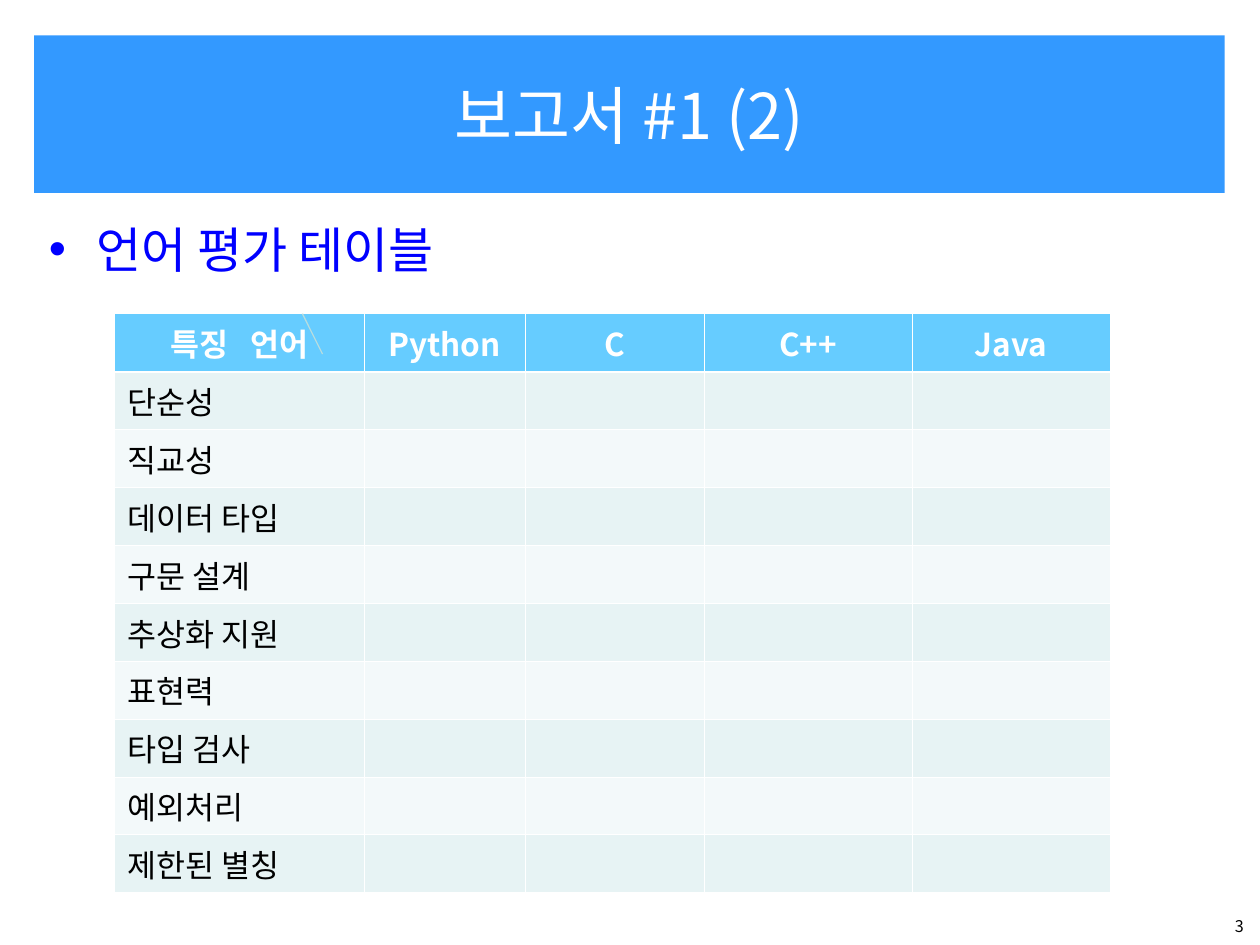
"""Build a slide with a blue title bar, one bullet and a language evaluation table."""
from dataclasses import dataclass

from lxml import etree
from pptx import Presentation
from pptx import util as u
from pptx.dml.color import RGBColor
from pptx.enum import shapes, text
from pptx.oxml.ns import qn

FONT = "Noto Sans CJK KR"
WIDTH, HEIGHT = u.Inches(10), u.Inches(7.5)
WHITE, BLACK, BLUE = "FFFFFF", "000000", "0000FF"
TITLE_FILL, HEADER_FILL, BANDS = "3399FF", "66CCFF", ("E7F3F4", "F3F9FA")
THIN, THICK = 0.45, 1.47
COLUMN_SHARES = (19.8, 12.8, 14.2, 16.5, 15.7)
ROW_SHARE = 6.13
HEADERS = ("특징   언어", "Python", "C", "C++", "Java")
FEATURES = ("단순성", "직교성", "데이터 타입", "구문 설계", "추상화 지원",
            "표현력", "타입 검사", "예외처리", "제한된 별칭")


@dataclass(frozen=True)
class Box:
    """Left, top, width and height in percent of the slide."""
    left: float
    top: float
    width: float
    height: float

    def emu(self) -> tuple:
        return across(self.left), down(self.top), across(self.width), down(self.height)


@dataclass(frozen=True)
class Style:
    """Look of one line of text."""
    size: float
    color: str
    align: text.PP_ALIGN = text.PP_ALIGN.LEFT
    bold: bool = False


CENTER = text.PP_ALIGN.CENTER
TITLE = Style(36, WHITE, CENTER)
BULLET = Style(28, BLUE)
NUMBER = Style(9.2, BLACK, text.PP_ALIGN.RIGHT)
HEADER = Style(18, WHITE, CENTER, True)
FEATURE = Style(18, BLACK)


def across(share: float) -> int:
    return int(WIDTH * share / 100)


def down(share: float) -> int:
    return int(HEIGHT * share / 100)


def rgb(color: str) -> RGBColor:
    return RGBColor.from_string(color)


def write(tf, words: str, style: Style):
    tf.text = words
    p = tf.paragraphs[0]
    p.alignment = style.align
    for r in p.runs:
        r.font.name, r.font.size, r.font.bold = FONT, u.Pt(style.size), style.bold
        r.font.color.rgb = rgb(style.color)
        etree.SubElement(r.font._element, qn("a:ea"), typeface=FONT)
    return p


def add_text(s, box: Box, words: str, style: Style):
    tf = s.shapes.add_textbox(*box.emu()).text_frame
    tf.word_wrap = True
    return write(tf, words, style)


def add_bullet(p, color: str, indent: float) -> None:
    pPr = p._p.get_or_add_pPr()
    pPr.set("marL", str(u.Inches(indent)))
    pPr.set("indent", str(-u.Inches(indent)))
    clr = etree.SubElement(pPr, qn("a:buClr"))
    etree.SubElement(clr, qn("a:srgbClr"), val=color)
    etree.SubElement(pPr, qn("a:buFont"), typeface="Arial")
    etree.SubElement(pPr, qn("a:buChar"), char="•")


def format_cell(cell, fill: str, top: float, bottom: float) -> None:
    tcPr = cell._tc.get_or_add_tcPr()
    for side, width in (("L", THIN), ("R", THIN), ("T", top), ("B", bottom)):
        ln = etree.SubElement(tcPr, qn(f"a:ln{side}"), w=str(u.Pt(width)))
        etree.SubElement(etree.SubElement(ln, qn("a:solidFill")), qn("a:srgbClr"), val=WHITE)
    cell.fill.solid()
    cell.fill.fore_color.rgb = rgb(fill)


def add_evaluation_table(s, left: float, top: float) -> None:
    rows = len(FEATURES) + 1
    box = Box(left, top, sum(COLUMN_SHARES), rows * ROW_SHARE)
    table = s.shapes.add_table(rows, len(HEADERS), *box.emu()).table
    for column, share in zip(table.columns, COLUMN_SHARES):
        column.width = across(share)
    for i, row in enumerate(table.rows):
        row.height = down(ROW_SHARE)
        fill = BANDS[(i - 1) % 2] if i else HEADER_FILL
        for cell in row.cells:
            format_cell(cell, fill, THICK if i == 1 else THIN, THIN if i else THICK)
    for j, name in enumerate(HEADERS):
        write(table.cell(0, j).text_frame, name, HEADER)
    for i, name in enumerate(FEATURES, 1):
        write(table.cell(i, 0).text_frame, name, FEATURE)


def add_line(s, start: tuple, end: tuple, color: str, width: float) -> None:
    ends = [f(v) for point in (start, end) for f, v in zip((across, down), point)]
    line = s.shapes.add_connector(shapes.MSO_CONNECTOR.STRAIGHT, *ends)
    line.line.color.rgb = rgb(color)
    line.line.width = u.Pt(width)
    etree.SubElement(line._element.spPr, qn("a:effectLst"))


def format_title(sp, box: Box, words: str) -> None:
    sp.left, sp.top, sp.width, sp.height = box.emu()
    sp.fill.solid()
    sp.fill.fore_color.rgb = rgb(TITLE_FILL)
    sp.text_frame.vertical_anchor = text.MSO_ANCHOR.MIDDLE
    write(sp.text_frame, words, TITLE)


def main() -> None:
    prs = Presentation()
    prs.slide_width, prs.slide_height = WIDTH, HEIGHT
    s = prs.slides.add_slide(prs.slide_layouts[5])
    format_title(s.shapes.title, Box(2.7, 3.73, 94.5, 16.67), "보고서 #1 (2)")
    p = add_text(s, Box(2.9, 22.53, 94.5, 73.87), "언어 평가 테이블", BULLET)
    p.space_before = u.Pt(7)
    add_bullet(p, BLUE, 0.38)
    add_text(s, Box(93, 96.27, 6.7, 3.73), "3", NUMBER)
    add_evaluation_table(s, 9.1, 33.2)
    add_line(s, (24, 33.2), (25.6, 37.47), "B6DCDF", 0.75)
    prs.save("out.pptx")


if __name__ == "__main__":
    main()
